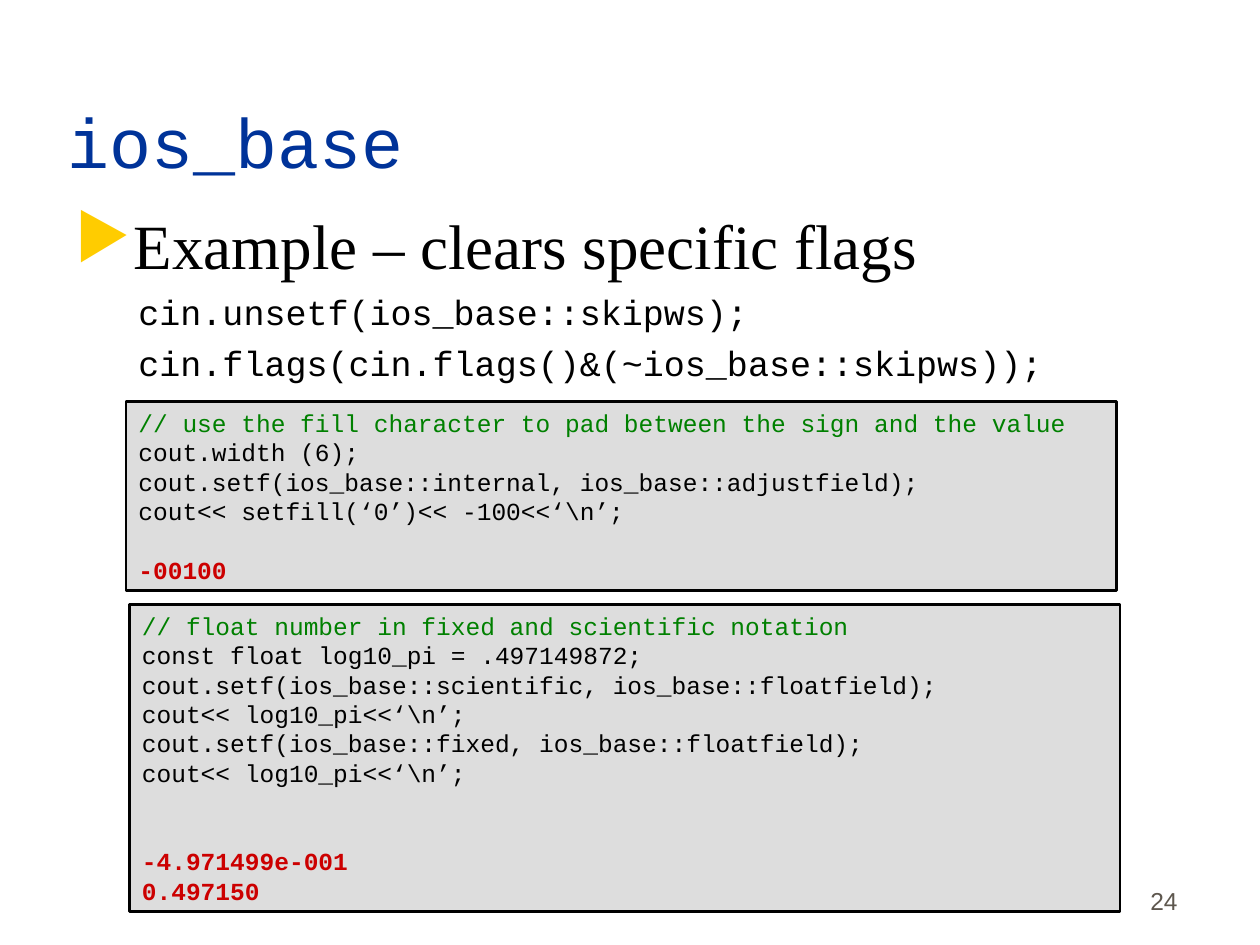
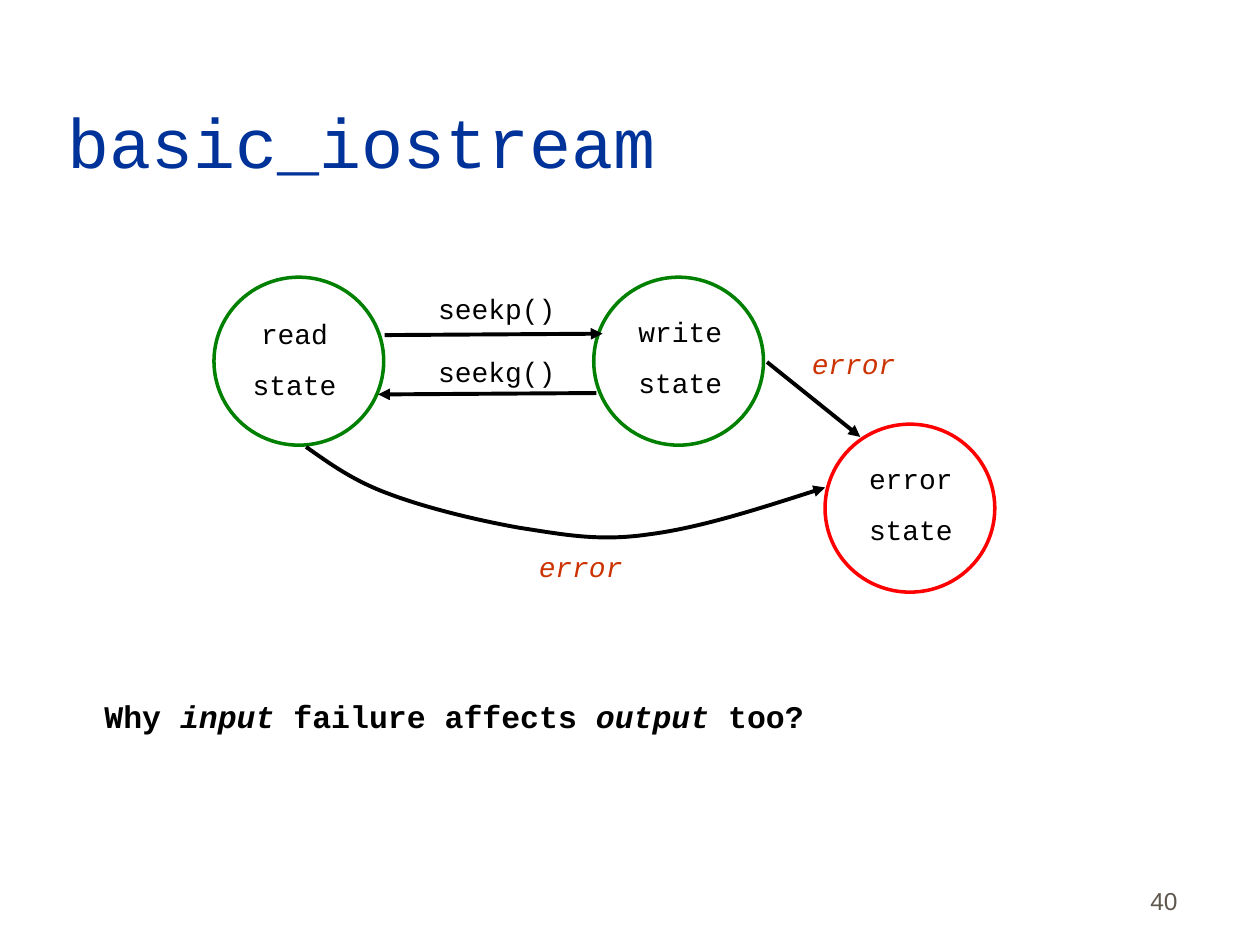
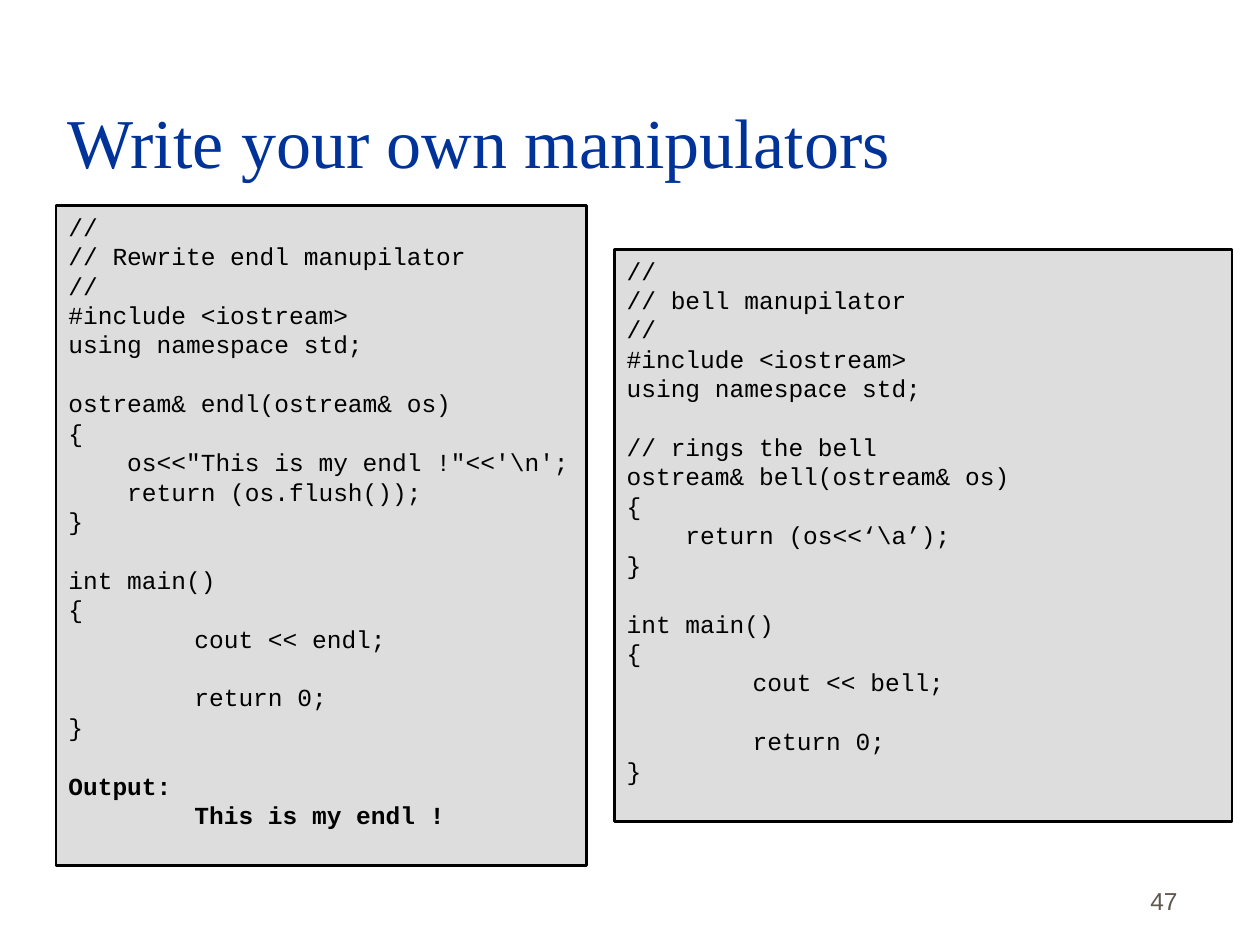
import dataclasses

import lxml.etree
import pptx
import pptx.dml.color
import pptx.enum.shapes
import pptx.enum.text
import pptx.oxml.ns
import pptx.util

Pt = pptx.util.Pt
ALIGN = pptx.enum.text.PP_ALIGN
ANCHOR = pptx.enum.text.MSO_ANCHOR
SHAPE = pptx.enum.shapes.MSO_SHAPE
qn = pptx.oxml.ns.qn


@dataclasses.dataclass(frozen=True)
class Theme:
    """Colours, fonts, type sizes and spacing shared by the slides."""
    black: str = "000000"
    white: str = "FFFFFF"
    title: str = "003399"
    number: str = "5E574E"
    bullet: str = "FFCC00"
    panel: str = "DDDDDD"
    green: str = "008000"
    output: str = "CC0000"
    error_ring: str = "FF0000"
    error_text: str = "CC3300"
    sans: str = "Arial"
    serif: str = "Times New Roman"
    mono: str = "Courier New"
    title_size: float = 40
    heading_size: float = 36
    statement_size: float = 20
    question_size: float = 18
    label_size: float = 16
    small_size: float = 14
    code_line: float = 16.8
    panel_line: float = 1.5
    ring_line: float = 2
    arrow_line: float = 2.25


THEME = Theme()


@dataclasses.dataclass(frozen=True)
class Box:
    left: float
    top: float
    width: float
    height: float

    def inside(self, left, top, width, height):
        return Box(self.left + left, self.top + top, width, height)

    def point(self, x, y):
        return Pt(self.left + x), Pt(self.top + y)

    def lengths(self):
        return [Pt(value) for value in (self.left, self.top, self.width, self.height)]


PAGE = Box(0, 0, 720, 540)
TITLE_BOX = Box(31.5, 18, 612, 90)
NUMBER_BOX = Box(530, 490.5, 150, 36)

CODE_STYLES = {
    "code": {"color": THEME.black},
    "comment": {"color": THEME.green},
    "output": {"color": THEME.output, "bold": True},
    "result": {"color": THEME.black, "bold": True},
}


# Text and line helpers

def rgb(value):
    return pptx.dml.color.RGBColor.from_string(value)


def apply_format(target, values):
    for name, value in values.items():
        setattr(target, name, value)


def add_run(paragraph, text, color=THEME.black, **font_values):
    run = paragraph.add_run()
    run.text = text
    apply_format(run.font, font_values)
    run.font.color.rgb = rgb(color)


def next_paragraph(frame, **values):
    first = frame.paragraphs[0]
    paragraph = frame.add_paragraph() if first.runs else first
    apply_format(paragraph, values)
    return paragraph


def prepare_frame(shape, anchor=ANCHOR.TOP):
    frame = shape.text_frame
    apply_format(frame, {
        "word_wrap": True, "vertical_anchor": anchor,
        "margin_left": Pt(7.2), "margin_right": Pt(7.2),
        "margin_top": Pt(3.6), "margin_bottom": Pt(3.6),
    })
    return frame


def add_text(shapes, box, lines, align=ALIGN.LEFT, anchor=ANCHOR.TOP, gap=0, **run_values):
    frame = prepare_frame(shapes.add_textbox(*box.lengths()), anchor)
    for index, line in enumerate(lines):
        spacing = {"space_before": Pt(gap)} if index else {}
        add_run(next_paragraph(frame, alignment=align, **spacing), line, **run_values)
    return frame


def add_property(parent, tag, **attributes):
    return lxml.etree.SubElement(parent, qn(tag), **attributes)


def style_line(shape, color, width):
    shape.line.color.rgb = rgb(color)
    shape.line.width = Pt(width)


def add_arrowhead(shape, end="a:tailEnd"):
    style_line(shape, THEME.black, THEME.arrow_line)
    add_property(shape.line._get_or_add_ln(), end, type="triangle")


# Shared slide frame

def add_slide(presentation, title, number, title_font=THEME.mono):
    slide = presentation.slides.add_slide(presentation.slide_layouts[6])
    slide.background.fill.solid()
    slide.background.fill.fore_color.rgb = rgb(THEME.white)
    add_text(slide.shapes, NUMBER_BOX, [str(number)], ALIGN.RIGHT, ANCHOR.BOTTOM,
             name=THEME.sans, size=Pt(THEME.small_size), color=THEME.number)
    add_text(slide.shapes, TITLE_BOX, [title], anchor=ANCHOR.BOTTOM,
             name=title_font, size=Pt(THEME.title_size), color=THEME.title)
    return slide


# Code panel: empty source lines become space before the next line

def add_code_panel(slide, box, sections):
    panel = slide.shapes.add_shape(SHAPE.RECTANGLE, *box.lengths())
    panel.shadow.inherit = False
    panel.fill.solid()
    panel.fill.fore_color.rgb = rgb(THEME.panel)
    style_line(panel, THEME.black, THEME.panel_line)
    frame = prepare_frame(panel)
    empty_lines = 0
    for style, source in sections:
        for line in source.split("\n"):
            if not line:
                empty_lines += 1
                continue
            paragraph = next_paragraph(frame, alignment=ALIGN.LEFT)
            if line.startswith("\t"):
                tabs = add_property(paragraph._p.get_or_add_pPr(), "a:tabLst")
                add_property(tabs, "a:tab", pos=str(Pt(72)), algn="l")
            if empty_lines:
                paragraph.space_before = Pt(empty_lines * THEME.code_line)
            add_run(paragraph, line, name=THEME.mono, size=Pt(THEME.small_size),
                    **CODE_STYLES[style])
            empty_lines = 0


# Bulleted heading with indented statements

def add_statements(slide, box, heading, statements):
    frame = prepare_frame(slide.shapes.add_textbox(*box.lengths()))
    paragraph = next_paragraph(frame)
    properties = paragraph._p.get_or_add_pPr()
    properties.set("marL", str(Pt(27)))
    properties.set("indent", str(Pt(-27)))
    add_property(add_property(properties, "a:buClr"), "a:srgbClr", val=THEME.bullet)
    add_property(properties, "a:buChar", char="▶")
    add_run(paragraph, heading, name=THEME.serif, size=Pt(THEME.heading_size))
    for statement in statements:
        paragraph = next_paragraph(frame, space_before=Pt(5))
        paragraph._p.get_or_add_pPr().set("marL", str(Pt(36)))
        add_run(paragraph, statement, name=THEME.mono, size=Pt(THEME.statement_size))


# State diagram

def add_state(slide, box, name, color, label_offset):
    group = slide.shapes.add_group_shape()
    add_text(group.shapes, box.inside(*label_offset, 65, 55.5), [name, "state"], ALIGN.CENTER,
             gap=10, name=THEME.mono, size=Pt(THEME.label_size))
    ring = group.shapes.add_shape(SHAPE.OVAL, *box.lengths())
    ring.shadow.inherit = False
    ring.fill.background()
    style_line(ring, color, THEME.ring_line)


def add_arrow(slide, box, start, end):
    connector = slide.shapes.add_connector(
        pptx.enum.shapes.MSO_CONNECTOR.STRAIGHT, *box.point(*start), *box.point(*end))
    add_arrowhead(connector)
    add_property(connector._element.spPr, "a:effectLst")


def add_curved_arrow(slide, box, points):
    start, *others = [box.point(*point) for point in points]
    builder = slide.shapes.build_freeform(*start)
    builder.add_line_segments(others, close=False)
    curve = builder.convert_to_shape()
    curve.shadow.inherit = False
    curve.fill.background()
    add_arrowhead(curve)
    # Every three points become one Bézier segment
    segments = list(curve._element.iter(qn("a:lnTo")))
    for index in range(0, len(segments), 3):
        bezier = add_property(segments[index].getparent(), "a:cubicBezTo")
        for segment in segments[index:index + 3]:
            bezier.append(segment[0])
            segment.getparent().remove(segment)


def add_state_diagram(slide, box):
    states = [
        ("read", THEME.green, (0, 0), (13.5, 18.7)),
        ("error", THEME.error_ring, (349.2, 84), (16.5, 18)),
        ("write", THEME.green, (217, 0), (17, 18)),
    ]
    for name, color, place, label_offset in states:
        add_state(slide, box.inside(*place, 97, 96), name, color, label_offset)

    arrows = [
        ((97.5, 33.1), (222, 32.3)),
        ((218.5, 66.2), (93.8, 67)),
        ((316, 48.5), (369.3, 91.3)),
    ]
    for start, end in arrows:
        add_arrow(slide, box, start, end)
    add_curved_arrow(slide, box, [
        (52.6, 97), (66.2, 106.6), (79.9, 116.6), (100.4, 124),
        (121, 131.8), (150.5, 139), (175, 143.3),
        (199.4, 147), (219.6, 151.2), (248.4, 147),
        (277.2, 143.3), (313.2, 131.8), (349.2, 120.2),
    ])

    calls = {"color": THEME.black}
    errors = {"color": THEME.error_text, "italic": True}
    labels = [
        ("seekp()", (121, 4.4), calls),
        ("seekg()", (121, 40.4), calls),
        ("error", (334.5, 36.2), errors),
        ("error", (178.5, 152.3), errors),
    ]
    for text, place, values in labels:
        add_text(slide.shapes, box.inside(*place, 83, 26.5), [text],
                 name=THEME.mono, size=Pt(THEME.label_size), **values)


def add_question(slide, box, parts):
    frame = prepare_frame(slide.shapes.add_textbox(*box.lengths()))
    paragraph = next_paragraph(frame, alignment=ALIGN.CENTER)
    for text, italic in parts:
        add_run(paragraph, text, name=THEME.mono, size=Pt(THEME.question_size),
                bold=True, italic=italic)


# Slide content

PADDING_CODE = [
    ("comment", "// use the fill character to pad between the sign and the value"),
    ("code", r"""cout.width (6);
cout.setf(ios_base::internal, ios_base::adjustfield);
cout<< setfill(‘0’)<< -100<<‘\n’;
"""),
    ("output", "-00100"),
]

NOTATION_CODE = [
    ("comment", "// float number in fixed and scientific notation"),
    ("code", r"""const float log10_pi = .497149872;
cout.setf(ios_base::scientific, ios_base::floatfield);
cout<< log10_pi<<‘\n’;
cout.setf(ios_base::fixed, ios_base::floatfield);
cout<< log10_pi<<‘\n’;

"""),
    ("output", "-4.971499e-001\n0.497150"),
]


def manipulator_source(heading, function, name):
    return f"""//
// {heading} manupilator
//
#include <iostream>
using namespace std;

{function}

int main()
{{
\tcout << {name};

\treturn 0;
}}"""


ENDL_CODE = [
    ("code", manipulator_source("Rewrite endl", r"""ostream& endl(ostream& os)
{
    os<<"This is my endl !"<<'\n';
    return (os.flush());
}""", "endl")),
    ("result", "\nOutput:\n\tThis is my endl !"),
]

BELL_CODE = [
    ("code", manipulator_source("bell", r"""// rings the bell
ostream& bell(ostream& os)
{
    return (os<<‘\a’);
}""", "bell")),
]


def main():
    presentation = pptx.Presentation()
    apply_format(presentation, {"slide_width": Pt(PAGE.width), "slide_height": Pt(PAGE.height)})

    # Flags
    slide = add_slide(presentation, "ios_base", 24)
    add_statements(slide, PAGE.inside(36, 114.5, 644, 111.5), "Example – clears specific flags",
                   ["cin.unsetf(ios_base::skipws);",
                    "cin.flags(cin.flags()&(~ios_base::skipws));"])
    add_code_panel(slide, PAGE.inside(72, 229.5, 566, 108), PADDING_CODE)
    add_code_panel(slide, PAGE.inside(74, 345.5, 566, 175.5), NOTATION_CODE)

    # Stream states
    slide = add_slide(presentation, "basic_iostream", 40)
    add_state_diagram(slide, PAGE.inside(122.3, 158.4, 446.2, 180))
    add_question(slide, PAGE.inside(38, 394.5, 443, 29),
                 [("Why ", False), ("input", True), (" failure affects ", False),
                  ("output", True), (" too?", False)])

    # Manipulators
    slide = add_slide(presentation, "Write your own manipulators", 47, THEME.serif)
    add_code_panel(slide, PAGE.inside(32, 117.5, 303, 377), ENDL_CODE)
    add_code_panel(slide, PAGE.inside(351, 142.5, 353, 327), BELL_CODE)

    presentation.save("out.pptx")


if __name__ == "__main__":
    main()
